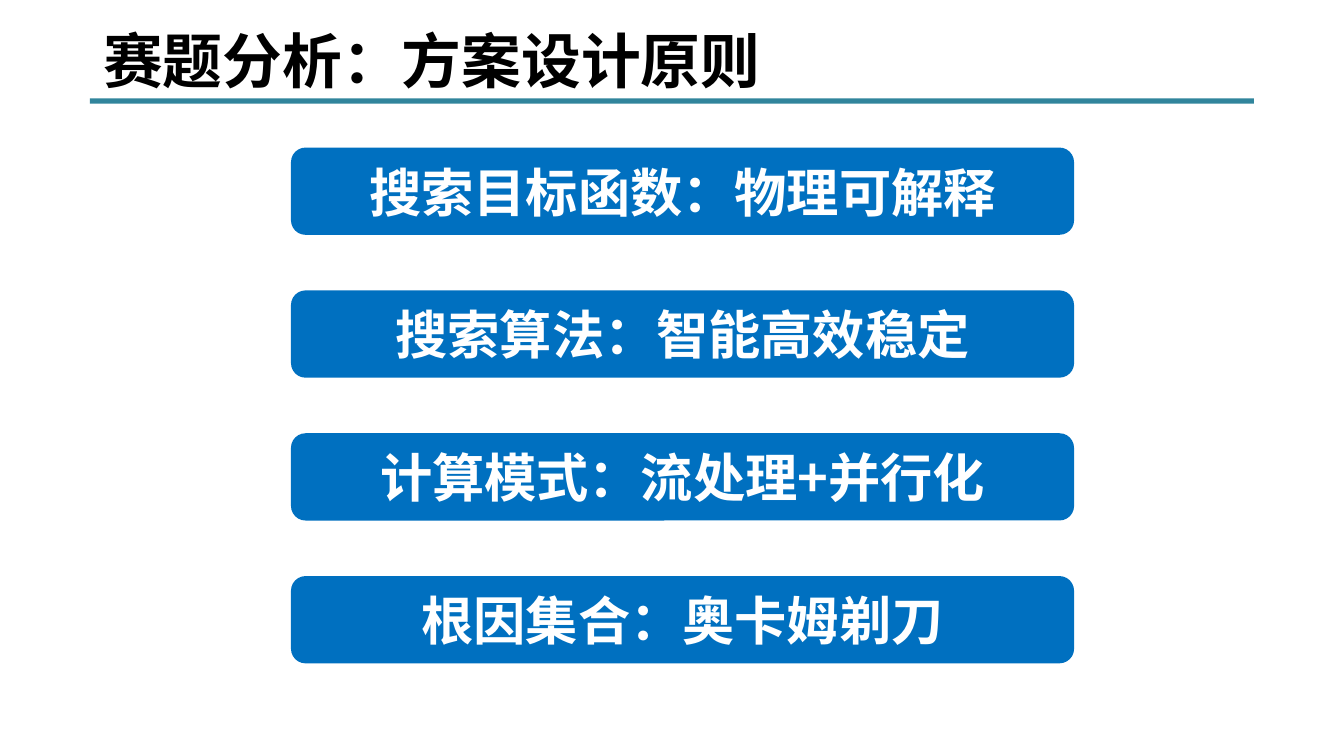
"""Build the slide listing the four design principles of the solution."""
import dataclasses

import lxml.etree
import pptx
import pptx.dml.color
import pptx.enum.shapes
import pptx.enum.text
import pptx.oxml.ns
import pptx.util

Cm = pptx.util.Cm


@dataclasses.dataclass(frozen=True)
class Theme:
    font: str = "Noto Sans CJK SC"
    ink: str = "000000"
    accent: str = "31859C"
    card: str = "0070C0"
    card_ink: str = "FFFFFF"
    title_size: int = 32
    card_size: int = 28


class SlideBuilder:
    def __init__(self, slide, theme):
        self.slide = slide
        self.theme = theme

    def set_wording(self, frame, wording, size, color):
        frame.word_wrap = True
        paragraph = frame.paragraphs[0]
        paragraph.text = wording
        font = paragraph.font
        font.name = self.theme.font
        font.size = pptx.util.Pt(size)
        font.bold = True
        font.color.rgb = pptx.dml.color.RGBColor.from_string(color)
        properties = paragraph._p.pPr.find(pptx.oxml.ns.qn("a:defRPr"))
        lxml.etree.SubElement(
            properties, pptx.oxml.ns.qn("a:ea"), typeface=self.theme.font)
        return paragraph

    def block(self, kind, left, top, width, height, color):
        block = self.slide.shapes.add_shape(
            kind, Cm(left), Cm(top), Cm(width), Cm(height))
        block.shadow.inherit = False
        block.fill.solid()
        block.fill.fore_color.rgb = pptx.dml.color.RGBColor.from_string(color)
        block.line.fill.background()
        return block

    def rule(self, left, top, width, height):
        self.block(pptx.enum.shapes.MSO_SHAPE.RECTANGLE,
                   left, top, width, height, self.theme.accent)

    def title(self, wording, left, top, width, height):
        heading = self.slide.shapes.add_textbox(
            Cm(left), Cm(top), Cm(width), Cm(height))
        self.set_wording(heading.text_frame, wording,
                         self.theme.title_size, self.theme.ink)

    def card(self, wording, left, top, width, height):
        card = self.block(pptx.enum.shapes.MSO_SHAPE.ROUNDED_RECTANGLE,
                          left, top, width, height, self.theme.card)
        frame = card.text_frame
        frame.margin_left = frame.margin_right = 0
        frame.margin_top = frame.margin_bottom = 0
        frame.vertical_anchor = pptx.enum.text.MSO_ANCHOR.MIDDLE
        paragraph = self.set_wording(frame, wording, self.theme.card_size,
                                     self.theme.card_ink)
        paragraph.alignment = pptx.enum.text.PP_ALIGN.CENTER


def main():
    deck = pptx.Presentation()
    deck.slide_width, deck.slide_height = Cm(25.4), Cm(14.29)
    builder = SlideBuilder(
        deck.slides.add_slide(deck.slide_layouts[6]), Theme())

    builder.rule(1.7, 1.86, 22, 0.1)
    builder.title("赛题分析：方案设计原则", 1.7, 0.33, 17.6, 3)

    principles = (
        "搜索目标函数：物理可解释",
        "搜索算法：智能高效稳定",
        "计算模式：流处理+并行化",
        "根因集合：奥卡姆剃刀",
    )
    first_top, pitch = 2.79, 2.7
    for row, principle in enumerate(principles):
        builder.card(principle, 5.5, first_top + row * pitch, 14.8, 1.65)

    deck.save("out.pptx")


if __name__ == "__main__":
    main()
